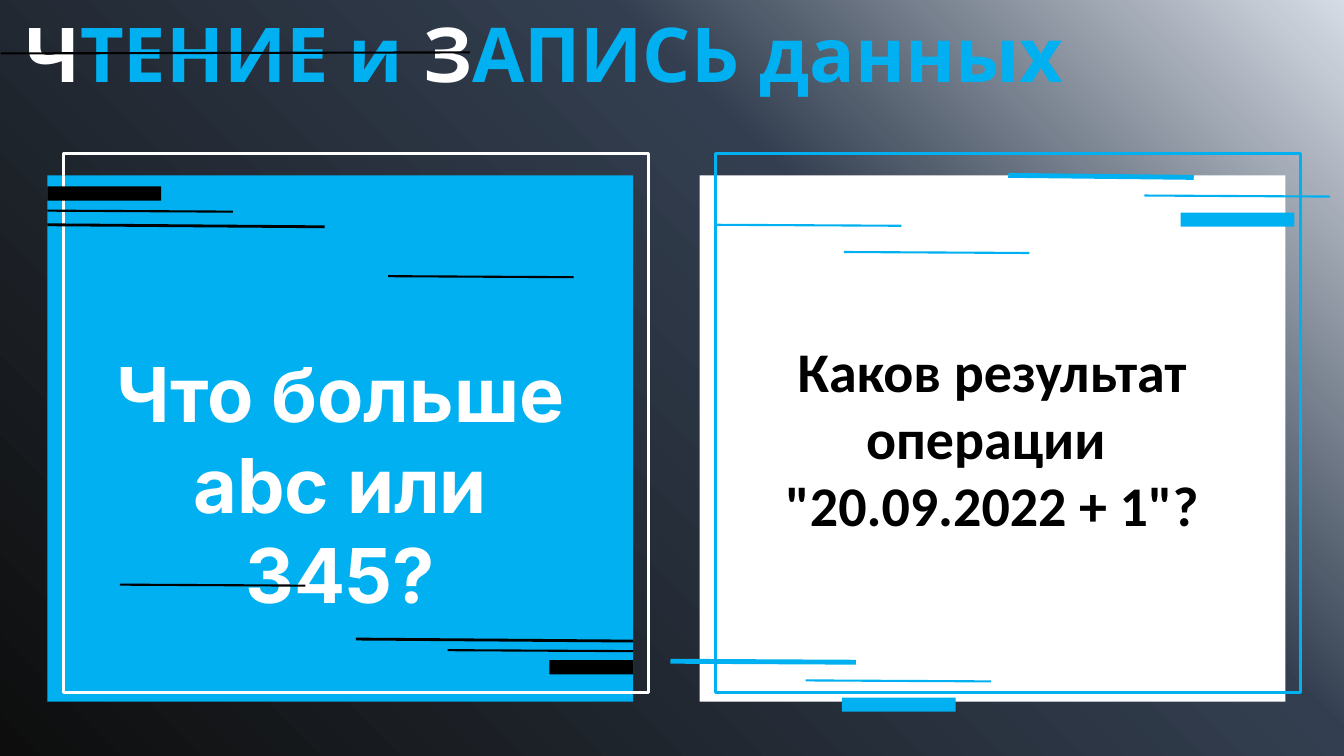
from lxml import etree
from pptx import Presentation
from pptx.dml.color import RGBColor
from pptx.enum.shapes import MSO_CONNECTOR, MSO_SHAPE
from pptx.enum.text import MSO_ANCHOR, MSO_AUTO_SIZE, PP_ALIGN
from pptx.oxml import parse_xml
from pptx.oxml.ns import nsdecls, qn
from pptx.util import Inches, Pt

BLUE, WHITE, BLACK = "00B0F0", "FFFFFF", "000000"
BACKGROUND_STOPS = [(0, "D6DCE5"), (35, "333F50"), (100, "0D0D0D")]

TITLE = [("Ч", WHITE), ("ТЕНИЕ и ", BLUE), ("З", WHITE), ("АПИСЬ данных", BLUE)]
PANELS = [(0.47, BLUE, WHITE), (6.94, WHITE, BLUE)]
QUESTIONS = [
    ((0.81, 3.39, 5.13, 1.92), ["Что больше abc или 345?"], "Inter", 54, WHITE),
    ((7.09, 3.29, 5.5, 2.12), ["Каков результат операции ", '"20.09.2022 + 1"?'],
     "Calibri", 40, BLACK),
]
BARS = [
    (11.71, 2.11, 1.13, BLUE),
    (8.35, 6.92, 1.13, BLUE),
    (5.45, 6.55, 0.83, BLACK),
    (0.47, 1.85, 1.13, BLACK),
]
SHORT, LONG = 1.84, 2.75
STROKES = [
    (0.01, 0.53, 4.65, -0.01, 1.5, BLACK),
    (10, 1.74, SHORT, 0.02, 3.5, BLUE),
    (11.35, 1.94, SHORT, 0.01, 1.5, BLUE),
    (6.65, 6.56, SHORT, 0.01, 3.5, BLUE),
    (7.99, 6.75, SHORT, 0.01, 1.5, BLUE),
    (4.44, 6.45, SHORT, 0.01, 1.5, BLACK),
    (3.53, 6.34, LONG, 0.02, 2, BLACK),
    (0.47, 2.09, SHORT, 0.01, 1.5, BLACK),
    (0.47, 2.23, LONG, 0.02, 2, BLACK),
    (7.1, 2.23, SHORT, 0.01, 1.5, BLUE),
    (8.37, 2.5, SHORT, 0.01, 1.5, BLUE),
    (1.19, 5.8, SHORT, 0.01, 1.5, BLACK),
    (3.85, 2.74, SHORT, 0.01, 1.5, BLACK),
]


def color(value):
    return RGBColor.from_string(value)


def paint_background(slide):
    fill = slide.background.fill
    fill.gradient()
    stops = "".join(
        f'<a:gs pos="{position * 1000}"><a:srgbClr val="{value}"/></a:gs>'
        for position, value in BACKGROUND_STOPS
    )
    gradient = parse_xml(
        f'<a:gradFill {nsdecls("a")} rotWithShape="1"><a:gsLst>{stops}</a:gsLst>'
        '<a:path path="circle"><a:fillToRect l="100000" b="100000"/></a:path>'
        '<a:tileRect t="-100000" r="-100000"/></a:gradFill>'
    )
    current = next(slide.background._cSld.iter(qn("a:gradFill")))
    current.getparent().replace(current, gradient)


def add_rectangle(slide, box, fill=None, outline=None):
    shape = slide.shapes.add_shape(MSO_SHAPE.RECTANGLE, *map(Inches, box))
    shape.shadow.inherit = False
    if fill:
        shape.fill.solid()
        shape.fill.fore_color.rgb = color(fill)
    else:
        shape.fill.background()
    if outline:
        shape.line.color.rgb = color(outline)
        shape.line.width = Pt(2)
    else:
        shape.line.fill.background()


def add_stroke(slide, left, top, run, drop, weight, ink):
    ends = map(Inches, (left, top, left + run, top + drop))
    stroke = slide.shapes.add_connector(MSO_CONNECTOR.STRAIGHT, *ends)
    stroke.line.color.rgb = color(ink)
    stroke.line.width = Pt(weight)
    etree.SubElement(stroke._element.spPr, qn("a:effectLst"))


def add_text_frame(slide, box):
    text_frame = slide.shapes.add_textbox(*map(Inches, box)).text_frame
    text_frame.word_wrap = True
    return text_frame


def format_run(run, font_name, size, ink):
    run.font.name = font_name
    run.font.size = Pt(size)
    run.font.bold = True
    run.font.color.rgb = color(ink)


def add_title(slide):
    text_frame = add_text_frame(slide, (0.15, 0.18, 13.04, 0.85))
    text_frame.vertical_anchor = MSO_ANCHOR.BOTTOM
    paragraph = text_frame.paragraphs[0]
    paragraph.line_spacing = 0.9
    for text, ink in TITLE:
        run = paragraph.add_run()
        run.text = text
        format_run(run, "League Spartan", 54, ink)


def add_question(slide, box, lines, font_name, size, ink):
    text_frame = add_text_frame(slide, box)
    text_frame.auto_size = MSO_AUTO_SIZE.SHAPE_TO_FIT_TEXT
    text_frame.text = "\n".join(lines)
    for paragraph in text_frame.paragraphs:
        paragraph.alignment = PP_ALIGN.CENTER
        for run in paragraph.runs:
            format_run(run, font_name, size, ink)


def main():
    presentation = Presentation()
    presentation.slide_width = Inches(13.33)
    presentation.slide_height = Inches(7.5)
    slide = presentation.slides.add_slide(presentation.slide_layouts[6])
    paint_background(slide)
    add_title(slide)
    for left, fill, outline in PANELS:
        add_rectangle(slide, (left, 1.74, 5.81, 5.22), fill=fill)
        add_rectangle(slide, (left + 0.16, 1.52, 5.8, 5.35), outline=outline)
    for question in QUESTIONS:
        add_question(slide, *question)
    for left, top, width, fill in BARS:
        add_rectangle(slide, (left, top, width, 0.14), fill=fill)
    for stroke in STROKES:
        add_stroke(slide, *stroke)
    presentation.save("out.pptx")


if __name__ == "__main__":
    main()
